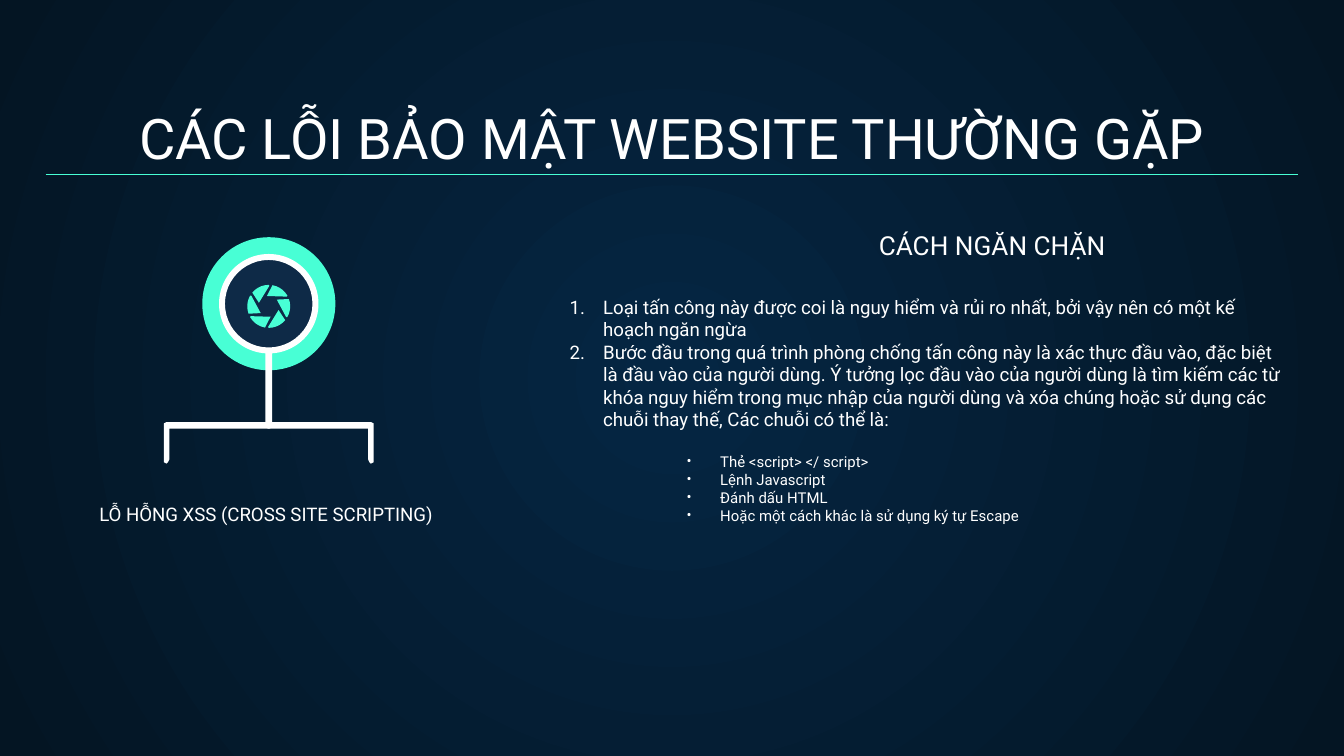
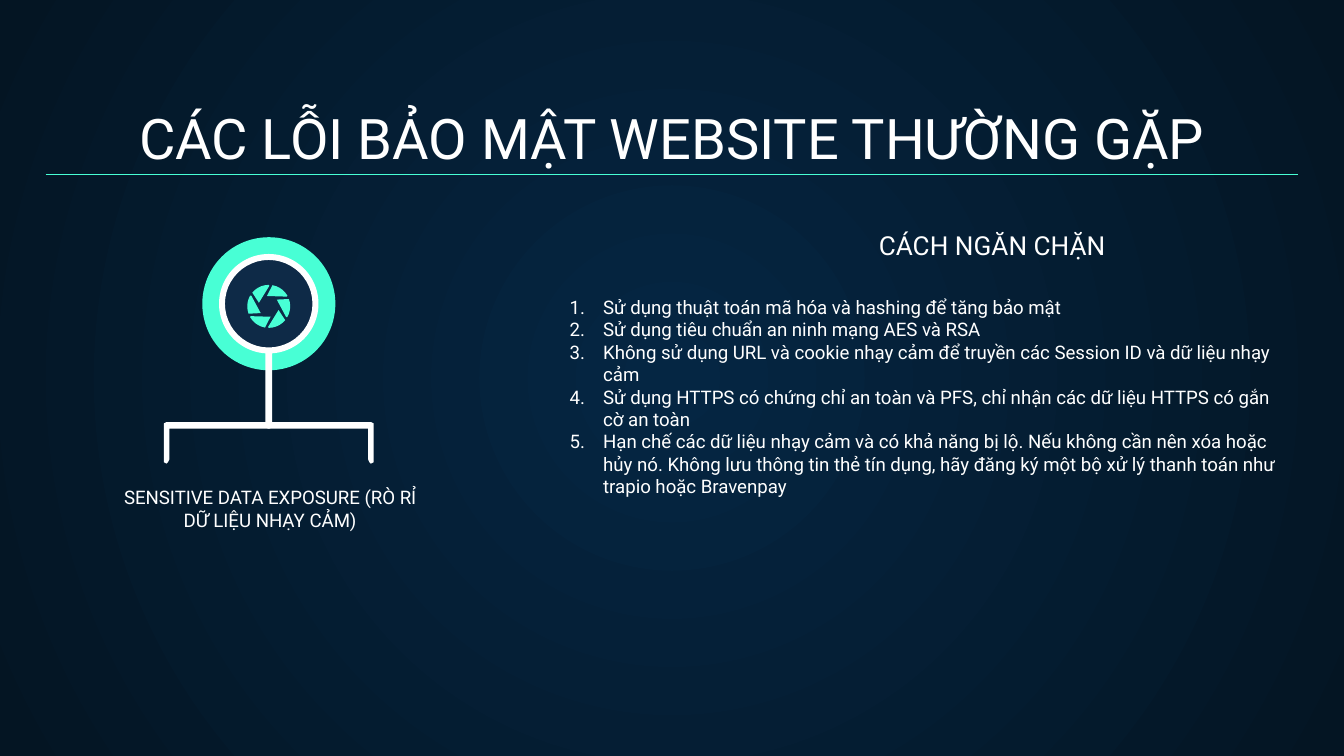
"""Build two slides on common website security flaws and how to prevent them."""
from math import cos, radians, sin

from lxml import etree
from pptx import Presentation
from pptx.dml.color import RGBColor
from pptx.enum import shapes as kinds, text as txt
from pptx.oxml import ns
from pptx.util import Inches, Pt

WHITE = RGBColor(0xFF, 0xFF, 0xFF)
MINT = RGBColor(0x48, 0xFF, 0xD5)
NAVY = RGBColor(0x0E, 0x2A, 0x47)
GLOW = RGBColor(0x05, 0x26, 0x43)
EDGE = RGBColor(0x04, 0x15, 0x23)
FONT = "Roboto"
LEFT, TOP, BOTTOM = txt.PP_ALIGN.LEFT, txt.MSO_ANCHOR.TOP, txt.MSO_ANCHOR.BOTTOM
CENTER = txt.PP_ALIGN.CENTER
OVAL, RING = kinds.MSO_SHAPE.OVAL, kinds.MSO_SHAPE.DONUT
PILL = kinds.MSO_SHAPE.ROUNDED_RECTANGLE

TITLE = "CÁC LỖI BẢO MẬT WEBSITE THƯỜNG GẶP"
HEADING = "CÁCH NGĂN CHẶN"
FLAWS = [
    {
        "label": "LỖ HỖNG XSS (CROSS SITE SCRIPTING)",
        "label_box": (0.64, 3.66, 2.75, 0.33),
        "label_align": LEFT,
        "steps": [
            "Loại tấn công này được coi là nguy hiểm và rủi ro nhất, bởi vậy nên có một kế hoạch ngăn ngừa",
            "Bước đầu trong quá trình phòng chống tấn công này là xác thực đầu vào, đặc biệt là đầu vào "
            "của người dùng. Ý tưởng lọc đầu vào của người dùng là tìm kiếm các từ khóa nguy hiểm trong "
            "mục nhập của người dùng và xóa chúng hoặc sử dụng các chuỗi thay thế, Các chuỗi có thể là:",
        ],
        "strings": [
            "Thẻ <script> </ script>",
            "Lệnh Javascript",
            "Đánh dấu HTML",
            "Hoặc một cách khác là sử dụng ký tự Escape",
        ],
    },
    {
        "label": "SENSITIVE DATA EXPOSURE (RÒ RỈ DỮ LIỆU NHẠY CẢM)",
        "label_box": (0.73, 3.61, 2.56, 0.44),
        "label_align": CENTER,
        "steps": [
            "Sử dụng thuật toán mã hóa và hashing để tăng bảo mật",
            "Sử dụng tiêu chuẩn an ninh mạng AES và RSA",
            "Không sử dụng URL và cookie nhạy cảm để truyền các Session ID và dữ liệu nhạy cảm",
            "Sử dụng HTTPS có chứng chỉ an toàn và PFS, chỉ nhận các dữ liệu HTTPS có gắn cờ an toàn",
            "Hạn chế các dữ liệu nhạy cảm và có khả năng bị lộ. Nếu không cần nên xóa hoặc hủy nó. "
            "Không lưu thông tin thẻ tín dụng, hãy đăng ký một bộ xử lý thanh toán như "
            "trapio hoặc Bravenpay",
        ],
        "strings": [],
    },
]

HUB_X, HUB_Y = 2, 2.26
IRIS_Y, IRIS_RADIUS = 2.28, 0.16
BADGE = [
    (OVAL, HUB_X, HUB_Y, 0.99, 0.99, MINT, None),
    (PILL, HUB_X, 2.69, 0.05, 1, WHITE, 0.5),
    (OVAL, HUB_X, HUB_Y, 0.7, 0.7, NAVY, None),
    (RING, HUB_X, HUB_Y, 0.74, 0.74, WHITE, 0.06),
]
BRACKET_HALF = [(-0.74, 3.19), (-0.74, 3.42), (-0.75, 3.44), (-0.76, 3.45), (-0.78, 3.44),
                (-0.78, 3.42), (-0.78, 3.17), (-0.78, 3.15), (-0.76, 3.14)]
BRACKET = [(HUB_X + x, y) for x, y in BRACKET_HALF]
BRACKET += [(HUB_X - x, y) for x, y in reversed(BRACKET_HALF)]
BLADE = [(0.06, -0.05), (0.13, 0.08)]
BLADE += [(IRIS_RADIUS * cos(radians(a)), IRIS_RADIUS * sin(radians(a))) for a in range(30, -21, -10)]


def write(frame, content, size=10, align=LEFT, anchor=TOP, mark=None, level=0, margin=0.38, before=0):
    """Add one formatted paragraph to a text frame."""
    frame.word_wrap = True
    frame.vertical_anchor = anchor
    frame.margin_left = frame.margin_right = frame.margin_top = frame.margin_bottom = Inches(0.1)
    paragraph = frame.add_paragraph() if frame.text else frame.paragraphs[0]
    paragraph.text = content
    paragraph.alignment = align
    paragraph.level = level
    if mark:
        properties = paragraph._p.get_or_add_pPr()
        properties.set("marL", str(Inches(margin)))
        properties.set("indent", str(Inches(-0.25)))
        tint = etree.SubElement(properties, ns.qn("a:buClr"))
        etree.SubElement(tint, ns.qn("a:srgbClr"), val=str(WHITE))
        etree.SubElement(properties, ns.qn("a:buFont"), typeface=FONT)
        if mark == "number":
            etree.SubElement(properties, ns.qn("a:buAutoNum"), type="arabicPeriod")
        else:
            etree.SubElement(properties, ns.qn("a:buChar"), char=mark)
    paragraph.space_before = Pt(before)
    for run in paragraph.runs:
        run.font.name, run.font.size, run.font.color.rgb = FONT, Pt(size), WHITE


def outline(parent, points, color):
    """Draw a closed filled outline through points in inches."""
    corners = [(Inches(x), Inches(y)) for x, y in points]
    builder = parent.build_freeform(*corners[0])
    builder.add_line_segments(corners[1:], close=True)
    figure = builder.convert_to_shape()
    figure.shadow.inherit = False
    figure.fill.solid()
    figure.fill.fore_color.rgb = color
    figure.line.fill.background()


prs = Presentation()
prs.slide_width, prs.slide_height = Inches(10), Inches(10 * 9 / 16)

for flaw in FLAWS:
    slide = prs.slides.add_slide(prs.slide_layouts[6])
    backdrop = slide.background.fill
    backdrop.gradient()
    for stop, color in zip(backdrop.gradient_stops, (GLOW, EDGE)):
        stop.color.rgb = color
    gradient = slide.element.find(".//" + ns.qn("a:gradFill"))
    gradient.remove(gradient.find(ns.qn("a:lin")))
    radial = etree.SubElement(gradient, ns.qn("a:path"), path="circle")
    etree.SubElement(radial, ns.qn("a:fillToRect"), l="50000", t="50000", r="50000", b="50000")

    title = slide.shapes.add_textbox(*map(Inches, (0.34, 0.71, 9.32, 0.66)))
    write(title.text_frame, TITLE, size=30, align=CENTER, anchor=BOTTOM)

    outline(slide.shapes, BRACKET, WHITE)
    for kind, x, y, width, height, color, adjustment in BADGE:
        part = slide.shapes.add_shape(
            kind, *map(Inches, (x - width / 2, y - height / 2, width, height)))
        part.shadow.inherit = False
        part.fill.solid()
        part.fill.fore_color.rgb = color
        part.line.fill.background()
        if adjustment:
            part.adjustments[0] = adjustment

    iris = slide.shapes.add_group_shape()
    for turn in range(0, 360, 60):
        c, s = cos(radians(turn)), sin(radians(turn))
        outline(iris.shapes, [(HUB_X + x * c - y * s, IRIS_Y + x * s + y * c) for x, y in BLADE], MINT)

    rule = slide.shapes.add_connector(
        kinds.MSO_CONNECTOR.STRAIGHT, *map(Inches, (0.34, 1.3, 9.66, 1.3)))
    rule.line.color.rgb, rule.line.width = MINT, Pt(0.75)
    etree.SubElement(rule._element.spPr, ns.qn("a:effectLst"))

    advice = slide.shapes.add_textbox(*map(Inches, (4.01, 2.1, 5.65, 2.09)))
    for step in flaw["steps"]:
        write(advice.text_frame, step, mark="number")
    for index, string in enumerate(flaw["strings"]):
        write(advice.text_frame, string, size=8, mark="•", level=1, margin=1.25,
              before=0 if index else 12)

    heading = slide.shapes.add_textbox(*map(Inches, (6.44, 1.77, 2.05, 0.27)))
    write(heading.text_frame, HEADING, size=14, anchor=BOTTOM)
    label = slide.shapes.add_textbox(*map(Inches, flaw["label_box"]))
    write(label.text_frame, flaw["label"], align=flaw["label_align"], anchor=BOTTOM)

prs.save("out.pptx")
